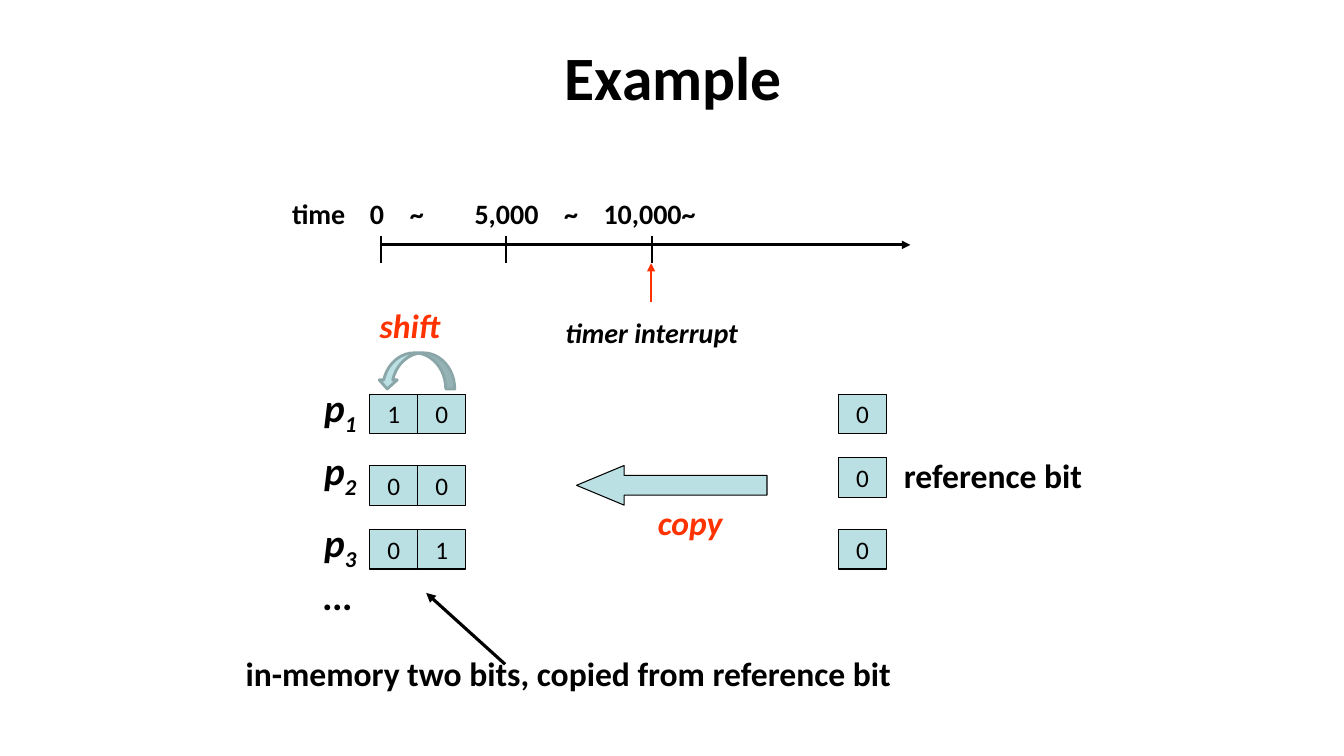
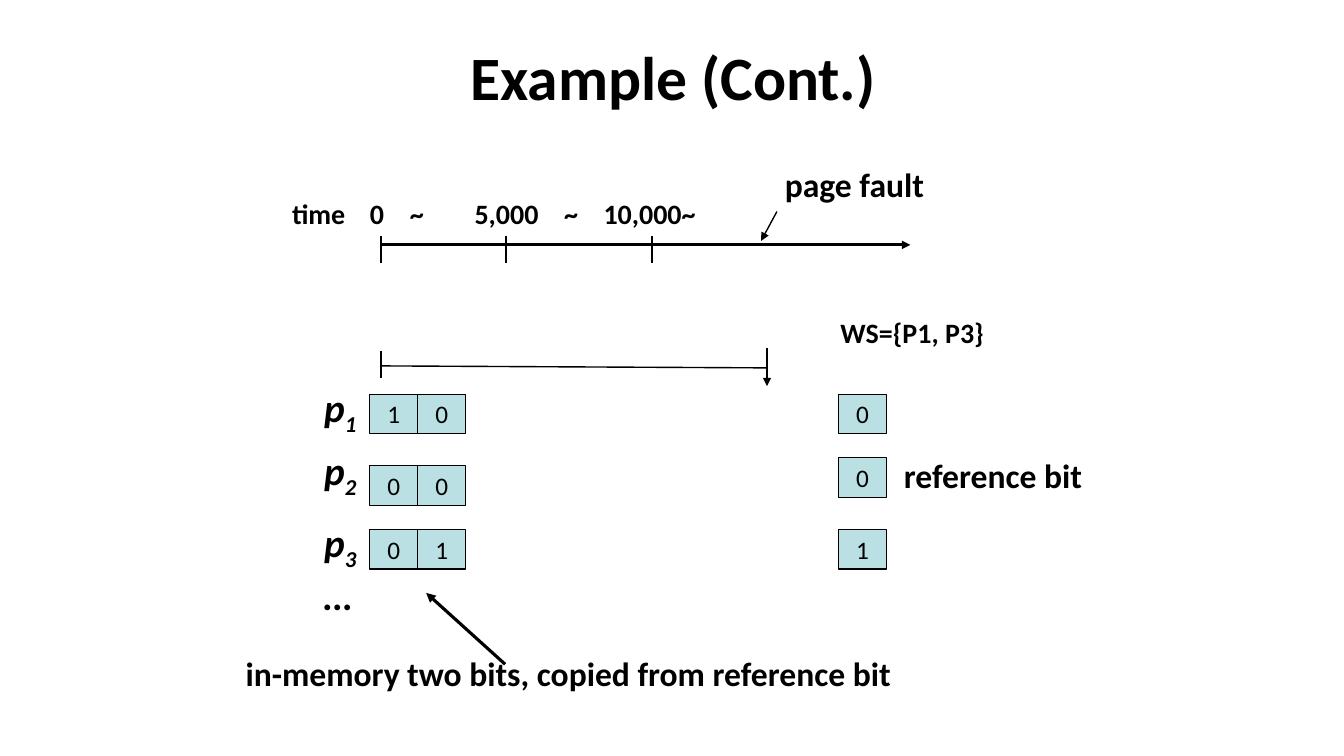
"""Two slides showing how in-memory bits approximate a working set."""
from lxml.etree import SubElement
from pptx import Presentation
from pptx.dml.color import RGBColor
from pptx.enum.shapes import MSO_CONNECTOR as Connector, MSO_SHAPE as Shape
from pptx.enum.text import MSO_ANCHOR as Anchor, PP_ALIGN as Align
from pptx.oxml.ns import qn
from pptx.util import Cm, Pt

FONT = "Calibri"
BLACK = RGBColor(0x00, 0x00, 0x00)
RED = RGBColor(0xFF, 0x33, 0x00)
PALE_BLUE = RGBColor(0xBB, 0xE0, 0xE3)
GREY_BLUE = RGBColor(0x8A, 0xA6, 0xA8)

BIT_WIDTH, BIT_HEIGHT = 1.21, 1
BITS_LEFT, REFERENCE_LEFT = 9.32, 21.13
BIT_TOPS = (9.93, 11.73, 13.34)
REFERENCE_TOPS = (9.93, 11.53, 13.34)
PAGE_LABEL_TOPS = (9.53, 11.13, 12.93)
MEMORY_BITS = ("10", "00", "01")
AXIS_START, AXIS_END, AXIS_Y = 9.6, 22.94, 6.17
TICKS = (9.6, 12.75, 16.43)
TICK_TOP, TICK_BOTTOM = 5.94, 6.63
TIME_TABS = (1.96, 2.97, 4.6, 6.86, 7.85)


def format_runs(frame, size, color=BLACK, bold=True, italic=False):
    for para in frame.paragraphs:
        for span in para.runs:
            font = span.font
            font.name, font.size = FONT, Pt(size)
            font.bold, font.italic = bold, italic
            font.color.rgb = color


def add_text(page, text, left, top, width, height=1.27, size=24,
             color=BLACK, italic=False, spacing=None):
    box = page.shapes.add_textbox(Cm(left), Cm(top), Cm(width), Cm(height))
    frame = box.text_frame
    frame.word_wrap = True
    frame.text = text
    if spacing:
        frame.paragraphs[0].line_spacing = spacing
    format_runs(frame, size, color, italic=italic)
    return box


def add_title(page, text):
    frame = add_text(page, text, 1.73, 0.33, 30.48, 3.18, size=44).text_frame
    frame.vertical_anchor = Anchor.MIDDLE
    frame.paragraphs[0].alignment = Align.CENTER


def add_line(page, start, end, width=1, color=BLACK, arrow=False):
    line = page.shapes.add_connector(
        Connector.STRAIGHT, *(Cm(value) for value in (*start, *end)))
    line.line.color.rgb = color
    line.line.width = Pt(width)
    properties = line.element.spPr
    if arrow:
        SubElement(properties.find(qn("a:ln")), qn("a:tailEnd"), type="triangle")
    SubElement(properties, qn("a:effectLst"))


def add_block(page, kind, left, top, width, height, color=BLACK, weight=0.75):
    block = page.shapes.add_shape(kind, Cm(left), Cm(top), Cm(width), Cm(height))
    block.shadow.inherit = False
    block.fill.solid()
    block.fill.fore_color.rgb = PALE_BLUE
    block.line.color.rgb = color
    block.line.width = Pt(weight)
    return block


def add_bit(page, bit, left, top):
    frame = add_block(page, Shape.RECTANGLE, left, top, BIT_WIDTH, BIT_HEIGHT).text_frame
    frame.word_wrap = False
    frame.vertical_anchor = Anchor.MIDDLE
    frame.text = bit
    frame.paragraphs[0].alignment = Align.CENTER
    format_runs(frame, 18, bold=False)


def add_page_label(page, number, top, last):
    text, height = ("p\n…", 2.64) if last else ("p", 1.45)
    frame = add_text(page, text, 7.92, top, 1.5, height).text_frame
    subscript = frame.paragraphs[0].add_run()
    subscript.text = str(number)
    subscript.font._element.set("baseline", "-25000")
    format_runs(frame, 28, italic=True)


def add_timeline(page):
    label = add_text(page, "time\t0\t~\t5,000\t~\t10,000~", 7.11, 4.93, 11.3, 1.02,
                     size=20, spacing=0.9)
    properties = label.text_frame.paragraphs[0]._p.get_or_add_pPr()
    stops = SubElement(properties, qn("a:tabLst"))
    for position in TIME_TABS:
        SubElement(stops, qn("a:tab"), pos=str(Cm(position)), algn="l")
    add_line(page, (AXIS_START, AXIS_Y), (AXIS_END, AXIS_Y), 2, arrow=True)
    for tick in TICKS:
        add_line(page, (tick, TICK_TOP), (tick, TICK_BOTTOM))


def add_bit_table(page, reference_bits):
    for row, bits in enumerate(MEMORY_BITS):
        add_page_label(page, row + 1, PAGE_LABEL_TOPS[row], row == len(MEMORY_BITS) - 1)
        for column, bit in enumerate(bits):
            add_bit(page, bit, BITS_LEFT + column * BIT_WIDTH, BIT_TOPS[row])
        add_bit(page, reference_bits[row], REFERENCE_LEFT, REFERENCE_TOPS[row])
    add_text(page, "reference bit", 22.53, 11.33, 5.2)
    add_line(page, (12.73, 16.74), (10.74, 14.94), 2.25, arrow=True)
    add_text(page, "in-memory two bits, copied from reference bit", 5.94, 16.33, 17.12)


def add_example(deck, title, reference_bits):
    page = deck.slides.add_slide(deck.slide_layouts[6])
    add_title(page, title)
    add_timeline(page)
    add_bit_table(page, reference_bits)
    return page


def add_timer_interrupt(page):
    add_line(page, (16.41, 7.62), (16.41, TICK_BOTTOM), 1.5, RED, arrow=True)
    add_text(page, "timer interrupt", 14, 7.82, 4.88, 1.12, size=20, italic=True)
    add_text(page, "shift", 9.32, 7.57, 2.2, color=RED, italic=True)
    shift = add_block(page, Shape.CURVED_UP_ARROW, 9.53, 8.89, 1.93, 0.91, GREY_BLUE, 2)
    shift.rotation = 180
    copy_arrow = add_block(page, Shape.LEFT_ARROW, 14.53, 11.73, 4.8, 1)
    copy_arrow.adjustments[1] = 1.2
    add_text(page, "copy", 16.33, 12.52, 2.3, color=RED, italic=True)


def add_page_fault(page):
    add_text(page, "page fault", 19.53, 4.11, 4.2, 1.17, spacing=0.9)
    add_line(page, (19.58, 5.33), (19.18, 6.07), arrow=True)
    add_line(page, (AXIS_START, 8.84), (AXIS_START, 9.53))
    add_line(page, (19.35, 9.27), (AXIS_START, 9.22))
    add_line(page, (19.33, 8.76), (19.33, 9.73), arrow=True)
    add_text(page, "WS={P1, P3}", 20.93, 7.92, 4.4, 1.02, size=20, spacing=0.9)


def main():
    deck = Presentation()
    deck.slide_width, deck.slide_height = Cm(33.87), Cm(19.05)
    add_timer_interrupt(add_example(deck, "Example", "000"))
    add_page_fault(add_example(deck, "Example (Cont.)", "001"))
    deck.save("out.pptx")


if __name__ == "__main__":
    main()
